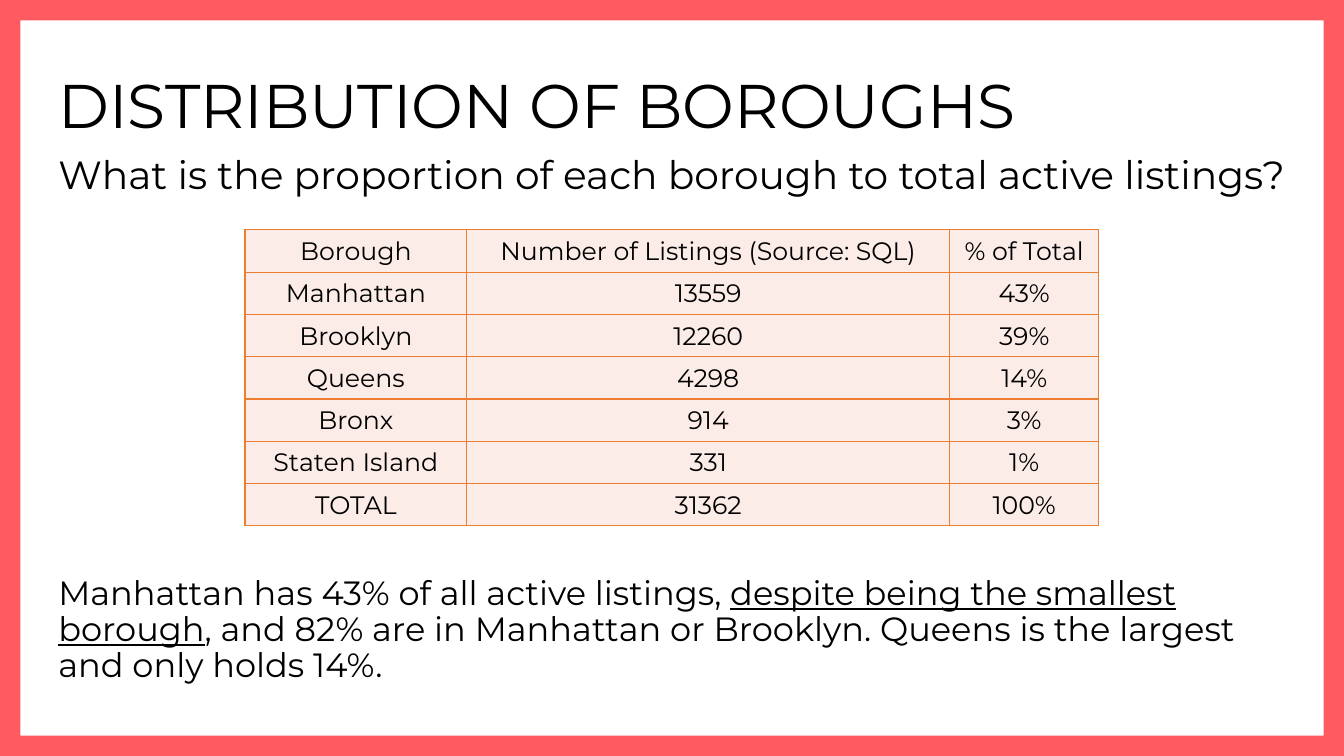
"""Build the slide on the distribution of listings by borough."""
from lxml.etree import SubElement
from pptx import Presentation
from pptx.dml.color import RGBColor
from pptx.enum.shapes import MSO_SHAPE
from pptx.enum.text import MSO_ANCHOR, PP_ALIGN
from pptx.oxml.ns import qn
from pptx.util import Pt

CORAL = RGBColor(0xFF, 0x5A, 0x5F)
ORANGE = RGBColor(0xED, 0x7D, 0x31)
BLUSH = RGBColor(0xFC, 0xEC, 0xE8)
BLACK = RGBColor(0, 0, 0)
FONT = "Montserrat"
LEFT = 34.56


def add_span(para, text, size=18, underline=None):
    span = para.add_run()
    span.text = text
    span.font.name = FONT
    span.font.size = Pt(size)
    span.font.color.rgb = BLACK
    span.font.underline = underline


deck = Presentation()
deck.slide_width, deck.slide_height = Pt(960), Pt(540)
page = deck.slides.add_slide(deck.slide_layouts[6])

frame = page.shapes.add_shape(MSO_SHAPE.FRAME, 0, 0, deck.slide_width, deck.slide_height)
frame.adjustments[0] = 0.027
frame.shadow.inherit = False
frame.fill.solid()
frame.fill.fore_color.rgb = CORAL
frame.line.fill.background()

text_blocks = [
    (25.2, 828, 104.4, 44, 0, MSO_ANCHOR.MIDDLE, [("DISTRIBUTION OF BOROUGHS", None)]),
    (107.3, 891.4, 43.9, 28, 10, MSO_ANCHOR.TOP,
     [("What is the proportion of each borough to total active listings?", None)]),
    (408.2, 891.4, 95.8, 24, 10, MSO_ANCHOR.TOP, [
        ("Manhattan has 43% of all active listings, ", None),
        ("despite being the smallest borough", True),
        (", and 82% are in Manhattan or Brooklyn. Queens is the largest and only holds 14%.", None),
    ]),
]
for top, width, height, size, space_before, anchor, spans in text_blocks:
    box = page.shapes.add_textbox(Pt(LEFT), Pt(top), Pt(width), Pt(height))
    box.text_frame.word_wrap = True
    box.text_frame.vertical_anchor = anchor
    para = box.text_frame.paragraphs[0]
    para.line_spacing = 0.9
    para.space_before = Pt(space_before)
    for text, underline in spans:
        add_span(para, text, size=size, underline=underline)

listings = [
    ("Borough", "Number of Listings (Source: SQL)", "% of Total"),
    ("Manhattan", "13559", "43%"),
    ("Brooklyn", "12260", "39%"),
    ("Queens", "4298", "14%"),
    ("Bronx", "914", "3%"),
    ("Staten Island", "331", "1%"),
    ("TOTAL", "31362", "100%"),
]
column_widths = [158.4, 344.9, 106.6]
row_height = 30.2
table = page.shapes.add_table(
    len(listings), len(column_widths), Pt(175), Pt(164.2),
    Pt(sum(column_widths)), Pt(row_height * len(listings))).table
for column, width in zip(table.columns, column_widths):
    column.width = Pt(width)
for row, values in zip(table.rows, listings):
    row.height = Pt(row_height)
    for cell, value in zip(row.cells, values):
        cell.margin_left = cell.margin_right = cell.margin_top = Pt(0.7)
        cell.margin_bottom = 0
        cell.vertical_anchor = MSO_ANCHOR.MIDDLE
        properties = cell._tc.get_or_add_tcPr()
        for side in ("a:lnL", "a:lnR", "a:lnT", "a:lnB"):
            border = SubElement(properties, qn(side), w=str(Pt(1)))
            SubElement(SubElement(border, qn("a:solidFill")), qn("a:srgbClr"), val=str(ORANGE))
        cell.fill.solid()
        cell.fill.fore_color.rgb = BLUSH
        para = cell.text_frame.paragraphs[0]
        para.alignment = PP_ALIGN.CENTER
        add_span(para, value)

deck.save("out.pptx")
